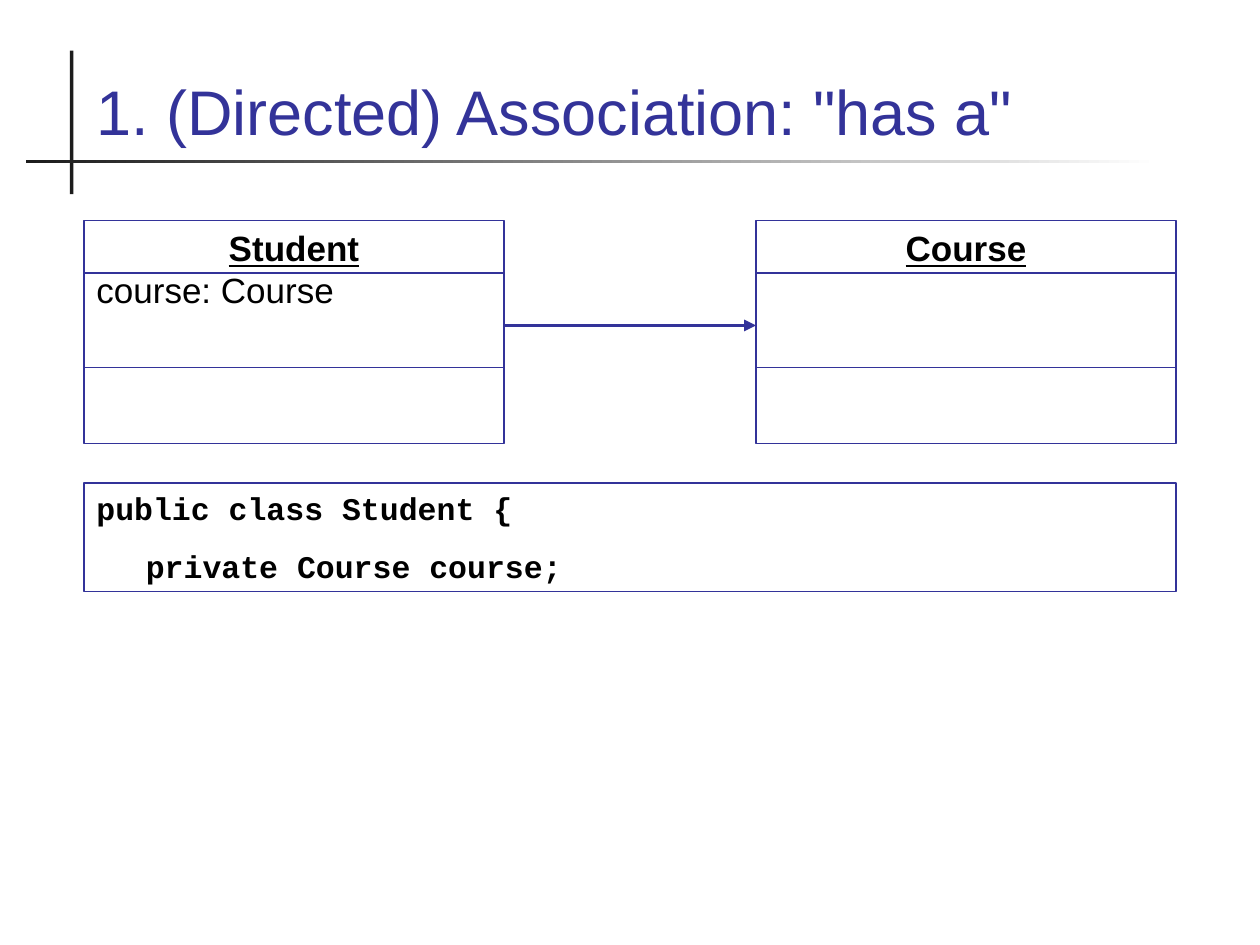
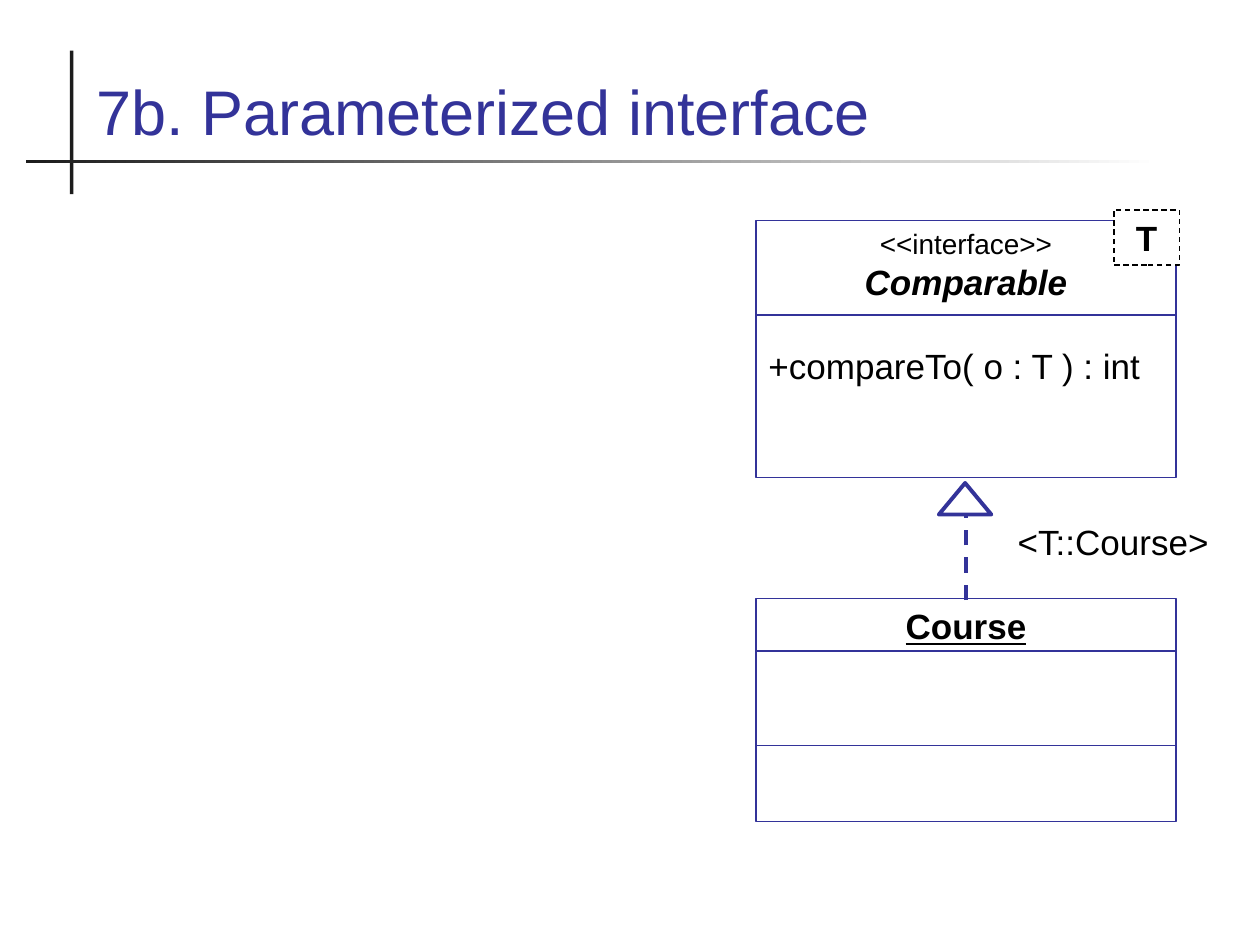
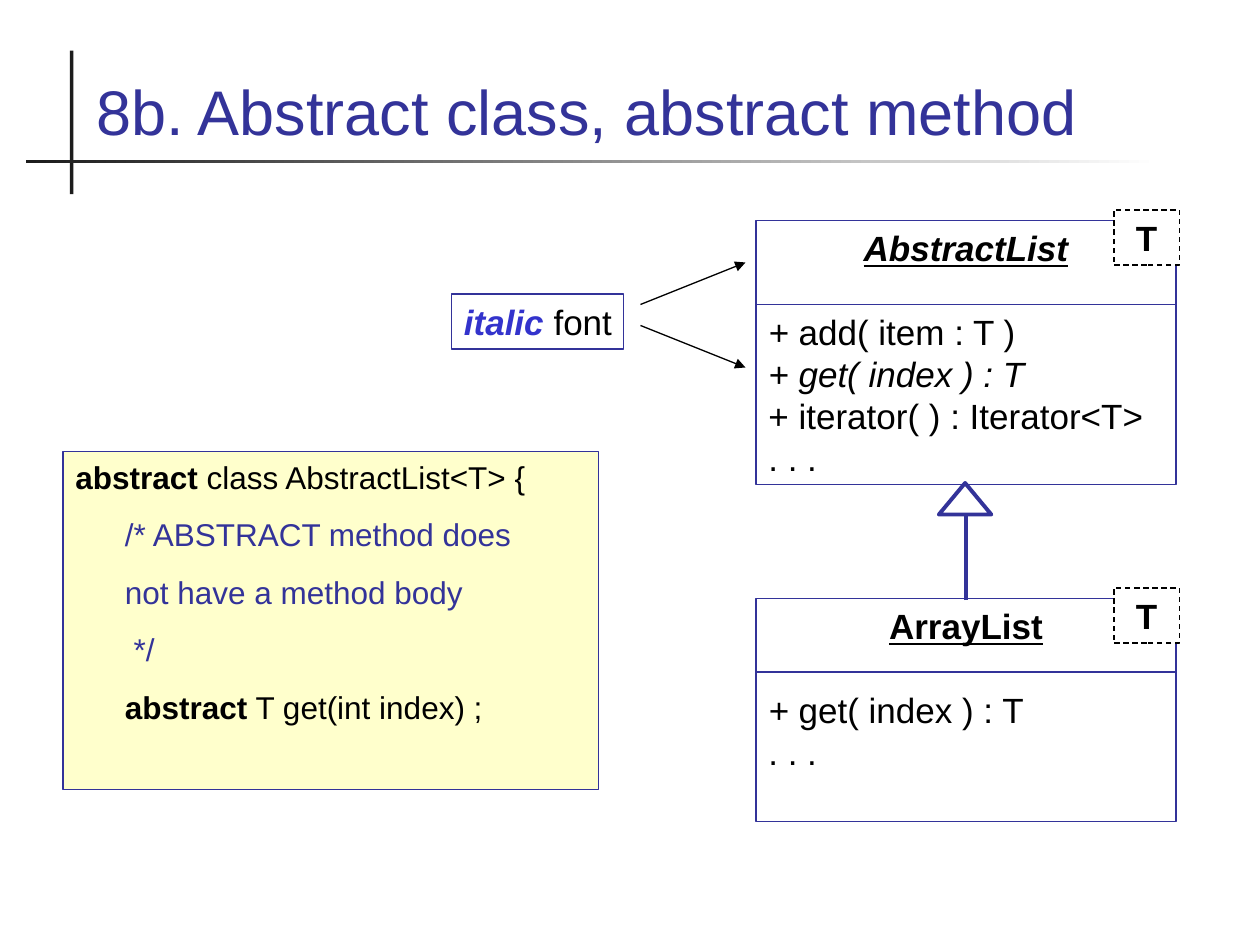
from dataclasses import dataclass

from lxml import etree
from pptx import Presentation
from pptx import util as u
from pptx.dml import color
from pptx.enum import dml, shapes, text
from pptx.oxml import ns

Pt = u.Pt
CENTER = text.PP_ALIGN.CENTER
DASH = dml.MSO_LINE.DASH


@dataclass(frozen=True)
class Theme:
    navy: str = "333399"
    accent: str = "3333CC"
    black: str = "000000"
    white: str = "FFFFFF"
    rule: str = "1C1C1C"
    note: str = "FFFFCC"
    sans: str = "Arial"
    mono: str = "Courier New"
    title: float = 36
    body: float = 20
    code: float = 18
    stereotype: float = 16
    thin: float = 0.75
    thick: float = 2.25
    code_gap: float = 11.25
    blank_line: float = 24
    tab: float = 28.25


T = Theme()


@dataclass(frozen=True)
class Box:
    left: float
    top: float
    width: float
    height: float

    @property
    def right(self):
        return self.left + self.width

    @property
    def middle(self):
        return self.left + self.width / 2

    def lengths(self):
        return [Pt(n) for n in (self.left, self.top, self.width, self.height)]


LEFT_CLASS = Box(48, 126, 240, 127.5)
RIGHT_CLASS = Box(432, 126, 240, 127.5)
LOWER_CLASS = Box(432, 342, 240, 127.5)
NAME = {"bold": True, "underline": True}
ABSTRACT_NAME = {"bold": True, "italic": True}


def rgb(value):
    return color.RGBColor.from_string(value)


def line(runs, **layout):
    return ([(runs, {})] if isinstance(runs, str) else runs), layout


def write(frame, lines, wrap=True, anchor=text.MSO_ANCHOR.TOP, **base):
    frame.word_wrap = wrap
    frame.vertical_anchor = anchor
    for index, (runs, layout) in enumerate(lines):
        paragraph = frame.paragraphs[0] if index == 0 else frame.add_paragraph()
        if any("\t" in words for words, _ in runs):
            tabs = etree.SubElement(paragraph._p.get_or_add_pPr(), ns.qn("a:tabLst"))
            etree.SubElement(tabs, ns.qn("a:tab"), pos=str(Pt(T.tab)), algn="l")
        settings = {"alignment": text.PP_ALIGN.LEFT} | layout
        for key, value in settings.items():
            setattr(paragraph, key, value)
        for words, style in runs:
            run = paragraph.add_run()
            run.text = words
            look = {"name": T.sans, "size": T.body, "color": T.black} | base | style
            run.font.color.rgb = rgb(look.pop("color"))
            look["size"] = Pt(look["size"])
            for key, value in look.items():
                setattr(run.font, key, value)


def add_outline(slide, box, fill=None, border=T.navy, weight=T.thin, dash=None,
                kind=shapes.MSO_SHAPE.RECTANGLE):
    outline = slide.shapes.add_shape(kind, *box.lengths())
    outline.shadow.inherit = False
    if fill:
        outline.fill.solid()
        outline.fill.fore_color.rgb = rgb(fill)
    else:
        outline.fill.background()
    if border:
        outline.line.color.rgb = rgb(border)
        outline.line.width = Pt(weight)
        outline.line.dash_style = dash
    else:
        outline.line.fill.background()
    return outline


def add_line(slide, start, end, ink=T.navy, weight=T.thin, dash=None, arrow=False):
    ends = [Pt(n) for n in (*start, *end)]
    stroke = slide.shapes.add_connector(shapes.MSO_CONNECTOR.STRAIGHT, *ends)
    stroke.line.color.rgb = rgb(ink)
    stroke.line.width = Pt(weight)
    stroke.line.dash_style = dash
    if arrow:
        etree.SubElement(stroke.line._get_or_add_ln(), ns.qn("a:tailEnd"), type="triangle")
    etree.SubElement(stroke._element.spPr, ns.qn("a:effectLst"))


def add_label(slide, box, lines, **settings):
    label = slide.shapes.add_textbox(*box.lengths())
    write(label.text_frame, lines, **settings)


def add_heading(slide, heading):
    add_outline(slide, Box(40, 29, 2, 82), T.rule, None)
    rule = add_outline(slide, Box(15, 91.25, 647, 2), T.rule, None)
    rule.fill.gradient()
    rule.fill.gradient_angle = 0
    for stop, ink in zip(rule.fill.gradient_stops, (T.rule, T.white)):
        stop.color.rgb = rgb(ink)
    add_label(slide, Box(48, 20, 624, 68), [line(heading)],
              anchor=text.MSO_ANCHOR.BOTTOM, size=T.title, color=T.navy)


def add_class(slide, box, lines, dividers):
    write(add_outline(slide, box).text_frame, lines)
    for offset in dividers:
        level = box.top + offset
        add_line(slide, (box.left, level), (box.right, level))


def add_plain_class(slide, box, name, *members):
    title = line([(name, NAME)], alignment=CENTER)
    add_class(slide, box, [title, *map(line, members)], (30, 84))


def add_type_parameter(slide, box):
    tag = add_outline(slide, Box(box.right - 35.5, box.top - 6, 37.5, 31.5), T.white,
                      T.black, dash=DASH)
    write(tag.text_frame, [line("T", alignment=CENTER)], wrap=False, bold=True)


def add_inheritance(slide, child, dash=None):
    base = child.top - 48
    add_line(slide, (child.middle, child.top + 1), (child.middle, base),
             weight=T.thick, dash=dash)
    add_outline(slide, Box(child.middle - 15.5, base - 18, 30, 18), weight=T.thick,
                kind=shapes.MSO_SHAPE.ISOSCELES_TRIANGLE)


def add_code(slide, box, fill, lines, **style):
    spaced = [line(runs, space_before=Pt(T.code_gap if index else 0))
              for index, runs in enumerate(lines)]
    write(add_outline(slide, box, fill).text_frame, spaced, size=T.code, **style)


def association(slide):
    add_heading(slide, '1. (Directed) Association: "has a"')
    add_plain_class(slide, LEFT_CLASS, "Student", "course: Course")
    add_plain_class(slide, RIGHT_CLASS, "Course")
    level = LEFT_CLASS.top + 60
    add_line(slide, (LEFT_CLASS.right, level), (RIGHT_CLASS.left, level),
             weight=T.thick, arrow=True)
    add_code(slide, Box(48, 276, 624, 62), T.white,
             ["public class Student {", "\tprivate Course course;"],
             name=T.mono, bold=True)


def parameterized_interface(slide):
    add_heading(slide, "7b. Parameterized interface")
    comparable = Box(RIGHT_CLASS.left, RIGHT_CLASS.top, RIGHT_CLASS.width, 147)
    add_class(slide, comparable, [
        line([("<<interface>>", {"size": T.stereotype})], alignment=CENTER),
        line([("Comparable", ABSTRACT_NAME)], alignment=CENTER),
        line("+compareTo( o : T ) : int", space_before=Pt(T.blank_line)),
    ], (54,))
    add_plain_class(slide, LOWER_CLASS, "Course")
    add_inheritance(slide, LOWER_CLASS, DASH)
    add_type_parameter(slide, comparable)
    add_label(slide, Box(574.5, 294, 125, 31.5), [line("<T::Course>")], wrap=False)


def abstract_class(slide):
    add_heading(slide, "8b. Abstract class, abstract method")
    parent = Box(RIGHT_CLASS.left, RIGHT_CLASS.top, RIGHT_CLASS.width, 151)
    italic = {"italic": True}
    bold = {"bold": True}
    comment = {"color": T.navy}
    gap = Pt(T.blank_line)
    add_class(slide, parent, [
        line([("AbstractList", NAME | italic)], alignment=CENTER),
        line([("+ ", italic), ("add( item : T )", {})], space_before=gap),
        line([("+ get( index ) : T", italic)]),
        line("+ iterator( ) : Iterator<T>"),
        line(". . ."),
    ], (48,))
    add_class(slide, LOWER_CLASS, [
        line([("ArrayList", NAME)], alignment=CENTER),
        line([("+ ", italic), ("get( index ) : T", {})], space_before=gap),
        line(". . ."),
    ], (42,))
    add_inheritance(slide, LOWER_CLASS)
    for box in (parent, LOWER_CLASS):
        add_type_parameter(slide, box)
    for start, end in ((186, 210), (174, 150)):
        add_line(slide, (366, start), (426, end), T.black, arrow=True)
    hint = add_outline(slide, Box(258, 168, 98.5, 31.5))
    write(hint.text_frame, [line([("italic ", bold | italic | {"color": T.accent}),
                                  ("font", {})])], wrap=False)
    add_code(slide, Box(36, 258, 306, 193), T.note, [
        [("abstract", bold), (" class AbstractList<T> {", {})],
        [("\t/* ABSTRACT method does", comment)],
        [("\tnot have a method body", comment)],
        [("\t */", comment)],
        [("\t", {}), ("abstract", bold), (" T get(int index) ;", {})],
    ])


def main():
    deck = Presentation()
    deck.slide_width, deck.slide_height = Pt(720), Pt(540)
    for build in (association, parameterized_interface, abstract_class):
        build(deck.slides.add_slide(deck.slide_layouts[6]))
    deck.save("out.pptx")


if __name__ == "__main__":
    main()
